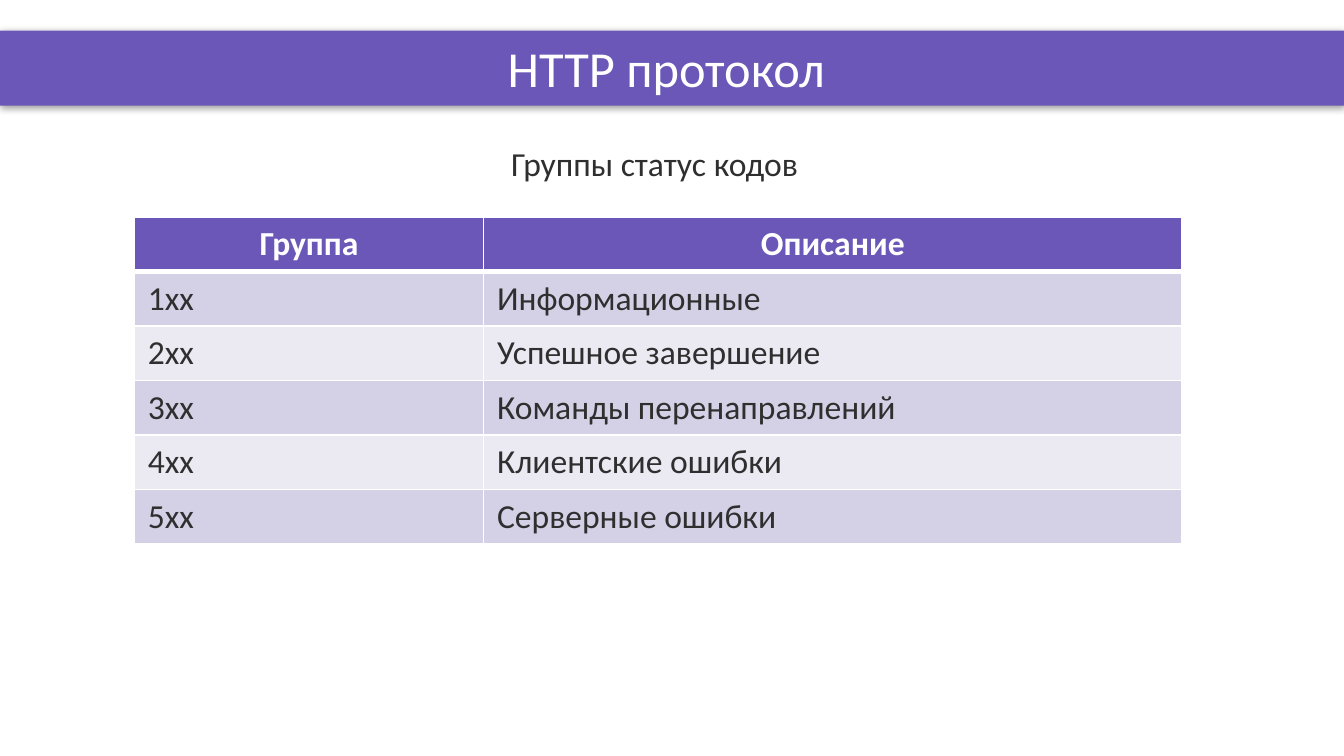
from lxml import etree
from pptx import Presentation
from pptx import util as u
from pptx.dml.color import RGBColor
from pptx.enum import shapes, text
from pptx.oxml import ns

HUES = {"main": "6A57B7", "ink": "2F2F2F", "white": "FFFFFF",
        "odd": "D4D1E6", "even": "EBEAF3", "shade": "000000"}
ROWS = [("Группа", "Описание"),
        ("1xx", "Информационные"),
        ("2xx", "Успешное завершение"),
        ("3xx", "Команды перенаправлений"),
        ("4xx", "Клиентские ошибки"),
        ("5xx", "Серверные ошибки")]


class Deck:
    """Holds the style and the current slide, and draws each kind of element."""

    def __init__(self, wide, high):
        self.show = Presentation()
        self.show.slide_width, self.show.slide_height = u.Cm(wide), u.Cm(high)
        self.slide = self.show.slides.add_slide(self.show.slide_layouts[6])
        self.font = "Calibri"

    def hue(self, name):
        return RGBColor.from_string(HUES[name])

    def paint(self, item, name):
        item.fill.solid()
        item.fill.fore_color.rgb = self.hue(name)

    def node(self, root, tag, **attrs):
        return etree.SubElement(root, ns.qn(tag), attrs)

    def tint(self, root, name):
        return self.node(root, "a:srgbClr", val=HUES[name])

    def words(self, frame, line, size, hue, bold=False, align="LEFT"):
        para = frame.paragraphs[0]
        para.alignment = getattr(text.PP_ALIGN, align)
        run = para.add_run()
        run.text = line
        form = {"name": self.font, "size": u.Pt(size), "bold": bold}
        for key, val in form.items():
            setattr(run.font, key, val)
        run.font.color.rgb = self.hue(hue)

    def band(self, *box):
        bar = self.slide.shapes.add_shape(
            shapes.MSO_SHAPE.RECTANGLE, *map(u.Cm, box))
        self.paint(bar, "main")
        bar.line.fill.background()
        bar.shadow.inherit = False
        glow = bar.element.spPr.find(ns.qn("a:effectLst"))
        cast = self.node(glow, "a:outerShdw", blurRad=str(u.Pt(4)),
                         dist=str(u.Pt(1)), dir="5400000", rotWithShape="0")
        self.node(self.tint(cast, "shade"), "a:alpha", val="40000")

    def label(self, line, box, size, hue):
        frame = self.slide.shapes.add_textbox(*map(u.Cm, box)).text_frame
        form = {"word_wrap": True, "vertical_anchor": text.MSO_ANCHOR.MIDDLE}
        for key, val in form.items():
            setattr(frame, key, val)
        self.words(frame, line, size, hue, align="CENTER")

    def edge(self, cell, row):
        props = cell._tc.get_or_add_tcPr()
        wide = {"T": 3 if row == 1 else 1, "B": 3 if row == 0 else 1}
        for side in "LRTB":
            line = self.node(props, "a:ln" + side,
                             w=str(u.Pt(wide.get(side, 1))))
            self.tint(self.node(line, "a:solidFill"), "white")

    def table(self, rows, left, top, cols, high):
        grid = self.slide.shapes.add_table(
            len(rows), len(cols), u.Cm(left), u.Cm(top),
            u.Cm(sum(cols)), u.Cm(high * len(rows))).table
        for col, wide in zip(grid.columns, cols):
            col.width = u.Cm(wide)
        for r, row in enumerate(rows):
            grid.rows[r].height = u.Cm(high)
            for c, line in enumerate(row):
                cell = grid.cell(r, c)
                self.edge(cell, r)
                if r == 0:
                    self.paint(cell, "main")
                    self.words(cell.text_frame, line, 18, "white", True, "CENTER")
                else:
                    self.paint(cell, "odd" if r % 2 else "even")
                    self.words(cell.text_frame, line, 18, "ink")


def main():
    deck = Deck(25.4, 14.29)
    deck.band(0, 0.58, 25.4, 1.42)
    deck.label("HTTP протокол ", (1.27, 0.58, 22.86, 1.37), 27, "white")
    deck.table(ROWS, 2.54, 4.1, (6.6, 13.2), 1.03)
    deck.label("Группы статус кодов ", (7.62, 2.57, 9.65, 1.02), 18, "ink")
    deck.show.save("out.pptx")


if __name__ == "__main__":
    main()
